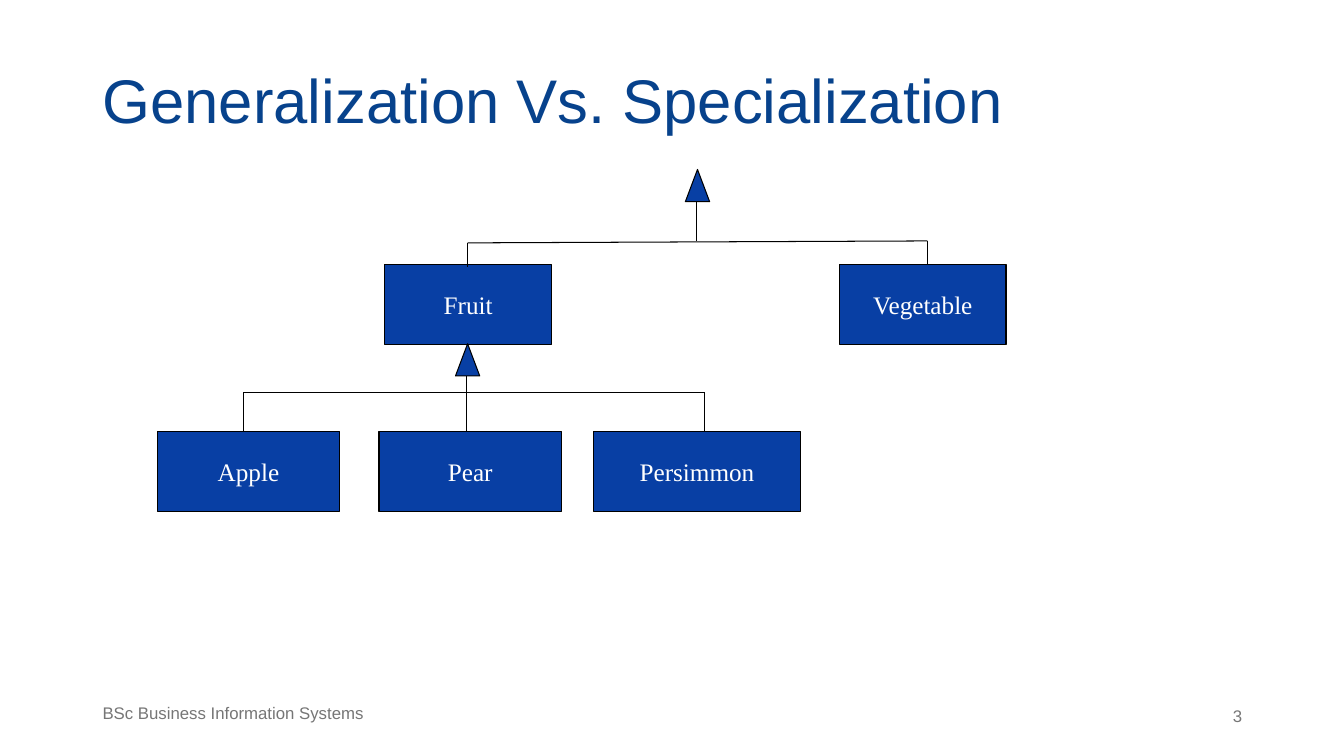
from lxml.etree import SubElement
from pptx import Presentation
from pptx.dml.color import RGBColor
from pptx.enum.shapes import MSO_CONNECTOR, MSO_SHAPE
from pptx.enum.text import MSO_ANCHOR, PP_ALIGN
from pptx.oxml.ns import qn
from pptx.util import Pt

COLORS = {"title": "07428C", "box": "083FA4", "line": "000000",
          "label": "FFFFFF", "foot": "767676"}


class Chart:
    def __init__(self, slide):
        self.shapes = slide.shapes
        self.sans = "Arial"
        self.serif = "Times New Roman"
        self.stroke = Pt(0.75)

    def color(self, name):
        return RGBColor.from_string(COLORS[name])

    def label(self, frame, text, size, font, color, align):
        para = frame.paragraphs[0]
        para.text = text
        para.alignment = align
        para.font.size = Pt(size)
        para.font.name = font
        para.font.color.rgb = self.color(color)
        return para

    def text(self, text, x, y, w, h, size, color, align=PP_ALIGN.LEFT):
        frame = self.shapes.add_textbox(Pt(x), Pt(y), Pt(w), Pt(h)).text_frame
        frame.word_wrap = True
        para = self.label(frame, text, size, self.sans, color, align)
        para.line_spacing = 0.9 if align == PP_ALIGN.LEFT else 1.0
        return frame

    def title(self, text, x, y, w, h):
        frame = self.text(text, x, y, w, h, 44, "title")
        frame.vertical_anchor = MSO_ANCHOR.BOTTOM
        frame.margin_top = frame.margin_bottom = Pt(7.2)

    def solid(self, kind, x, y, w, h):
        shape = self.shapes.add_shape(kind, Pt(x), Pt(y), Pt(w), Pt(h))
        shape.shadow.inherit = False
        shape.fill.solid()
        shape.fill.fore_color.rgb = self.color("box")
        shape.line.color.rgb = self.color("line")
        shape.line.width = self.stroke
        return shape

    def box(self, text, x, y, w):
        frame = self.solid(MSO_SHAPE.RECTANGLE, x, y, w, 56.9).text_frame
        frame.word_wrap = False
        frame.vertical_anchor = MSO_ANCHOR.MIDDLE
        self.label(frame, text, 18, self.serif, "label", PP_ALIGN.CENTER)

    def head(self, x, y):
        self.solid(MSO_SHAPE.FLOWCHART_EXTRACT, x, y, 17.3, 23)

    def line(self, x1, y1, x2, y2):
        line = self.shapes.add_connector(
            MSO_CONNECTOR.STRAIGHT, Pt(x1), Pt(y1), Pt(x2), Pt(y2))
        line.line.color.rgb = self.color("line")
        line.line.width = self.stroke
        SubElement(line._element.spPr, qn("a:effectLst"))


def main():
    deck = Presentation()
    deck.slide_width, deck.slide_height = Pt(960), Pt(540)
    chart = Chart(deck.slides.add_slide(deck.slide_layouts[6]))

    chart.title("Generalization Vs. Specialization", 66.2, 37.4, 675.4, 67.7)
    chart.text("BSc Business Information Systems",
               66.2, 499.7, 244, 29.5, 12, "foot")
    chart.text("3", 733.7, 500.4, 160.6, 28.8, 12, "foot", PP_ALIGN.RIGHT)

    top, low = 189, 308.2
    for name, x, y, w in [("Apple", 112.3, low, 130.3),
                          ("Pear", 270.7, low, 130.3),
                          ("Persimmon", 424.1, low, 147.6),
                          ("Fruit", 275, top, 118.8),
                          ("Vegetable", 599.8, top, 118.8)]:
        chart.box(name, x, y, w)

    apple, pear, last, bar = 174.2, 333.4, 503.3, 280.1
    for x, y in [(apple, bar), (pear, 262.8), (last, bar)]:
        chart.line(x, y, x, low)
    chart.line(apple, bar, last, bar)
    chart.head(325.4, 245.5)

    fruit, stem, veg = 334.1, 497.5, 662.4
    left, right = 173.5, 172.1
    chart.line(fruit, left, fruit, 190.8)
    chart.line(veg, right, veg, top)
    chart.line(fruit, left, veg, right)
    chart.line(stem, 143.3, stem, right)
    chart.head(489.6, 121)

    deck.save("out.pptx")


if __name__ == "__main__":
    main()
